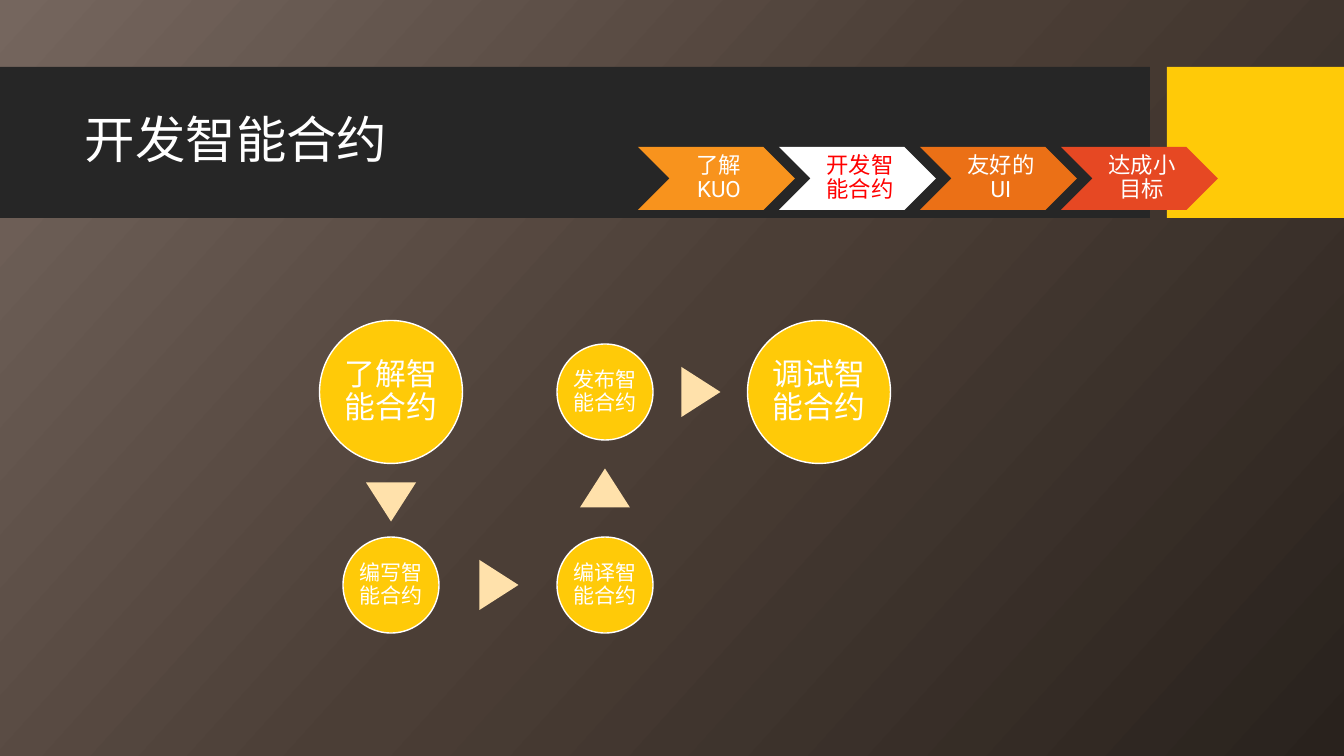
from copy import deepcopy

from pptx import Presentation
from pptx.dml.color import RGBColor
from pptx.enum.shapes import MSO_SHAPE as SHAPE
from pptx.enum.text import MSO_ANCHOR as ANCHOR, PP_ALIGN as ALIGN
from pptx.oxml.ns import qn
from pptx.util import Emu, Pt

EMU_PER_PX = 914400 / 100.8
COLORS = {
    "bar": "262626", "accent": "FFCA08", "white": "FFFFFF", "red": "FF0000",
    "arrow": "FFE1AB", "amber": "F8931D", "orange": "EB7016", "brick": "E64823",
}
BACKGROUND = [(0, "75665E"), (0.5, "4B3E36"), (1, "29221D")]
LATIN, CJK = "Roboto", "Noto Sans CJK SC"


def px(value):
    return Emu(round(value * EMU_PER_PX))


def color(name):
    return RGBColor.from_string(COLORS[name])


class SlideBuilder:
    def __init__(self, slide):
        self.slide = slide

    def background(self, stops, clockwise_angle):
        fill = self.slide.background.fill
        fill.gradient()
        fill.gradient_angle = 360 - clockwise_angle
        stop_list = self.slide.element.find(".//" + qn("a:gsLst"))
        stop_list.append(deepcopy(stop_list[0]))
        for stop, (position, hex_color) in zip(fill.gradient_stops, stops):
            stop.position = position
            stop.color.rgb = RGBColor.from_string(hex_color)

    def shape(self, kind, left, top, width, height, fill, line=None, rotation=0):
        shape = self.slide.shapes.add_shape(kind, px(left), px(top), px(width), px(height))
        shape.shadow.inherit = False
        shape.fill.solid()
        shape.fill.fore_color.rgb = color(fill)
        if line:
            shape.line.color.rgb = color(line)
            shape.line.width = Pt(1)
        else:
            shape.line.fill.background()
        shape.rotation = rotation
        return shape

    def text(self, shape, text, size, font, text_color="white", align=ALIGN.CENTER, insets=None):
        frame = shape.text_frame
        frame.word_wrap = True
        frame.vertical_anchor = ANCHOR.MIDDLE
        if insets:
            (frame.margin_left, frame.margin_top,
             frame.margin_right, frame.margin_bottom) = map(px, insets)
        frame.text = text
        paragraph = frame.paragraphs[0]
        paragraph.alignment = align
        paragraph.line_spacing = 0.9
        for run in paragraph.runs:
            run.font.size = Pt(size)
            run.font.name = font
            run.font.color.rgb = color(text_color)
            east_asian = run.font._element.makeelement(qn("a:ea"), {"typeface": CJK})
            run.font._element.find(qn("a:latin")).addnext(east_asian)

    def title(self, text, left, top, width, height):
        box = self.slide.shapes.add_textbox(px(left), px(top), px(width), px(height))
        self.text(box, text, 36, LATIN, align=ALIGN.LEFT)

    def chevron(self, text, left, fill, text_color):
        shape = self.shape(SHAPE.CHEVRON, left, 147, 157, 63, fill)
        self.text(shape, text, 16, LATIN, text_color, insets=(7, 2, 2, 2))

    def circle(self, text, center_x, center_y, large):
        diameter, size, inset = (143, 22, 3) if large else (96, 15, 2)
        shape = self.shape(SHAPE.OVAL, center_x - diameter / 2, center_y - diameter / 2,
                           diameter, diameter, "accent", line="white")
        self.text(shape, text, size, CJK, insets=(inset,) * 4)

    def arrow(self, center_x, center_y, rotation):
        self.shape(SHAPE.ISOSCELES_TRIANGLE, center_x - 25, center_y - 39 / 2,
                   50, 39, "arrow", rotation=rotation)


def main():
    presentation = Presentation()
    presentation.slide_width, presentation.slide_height = px(1344), px(756)
    slide = presentation.slides.add_slide(presentation.slide_layouts[6])
    builder = SlideBuilder(slide)

    # Background and title band
    builder.background(BACKGROUND, 42)
    builder.shape(SHAPE.RECTANGLE, 0, 67, 1150, 151, "bar")
    builder.shape(SHAPE.RECTANGLE, 1167, 67, 177, 151, "accent")
    builder.title("开发智能合约", 75, 83, 1059, 119)

    # Progress chevrons, current step in white
    steps = [("了解KUO", "amber", "white"), ("开发智能合约", "white", "red"),
             ("友好的UI", "orange", "white"), ("达成小目标", "brick", "white")]
    for index, (text, fill, text_color) in enumerate(steps):
        builder.chevron(text, 638 + 141 * index, fill, text_color)

    # Workflow circles on a grid of three columns and two rows
    columns, rows = [391, 605, 819], [392, 585]
    stages = [("了解智能合约", 0, 0, True), ("编写智能合约", 0, 1, False),
              ("编译智能合约", 1, 1, False), ("发布智能合约", 1, 0, False),
              ("调试智能合约", 2, 0, True)]
    for text, column, row, large in stages:
        builder.circle(text, columns[column], rows[row], large)

    # Arrows between the circles
    builder.arrow(columns[0], 502, 180)
    builder.arrow(499, rows[1], 90)
    builder.arrow(columns[1], 488, 0)
    builder.arrow(701, rows[0], 90)

    presentation.save("out.pptx")


if __name__ == "__main__":
    main()
